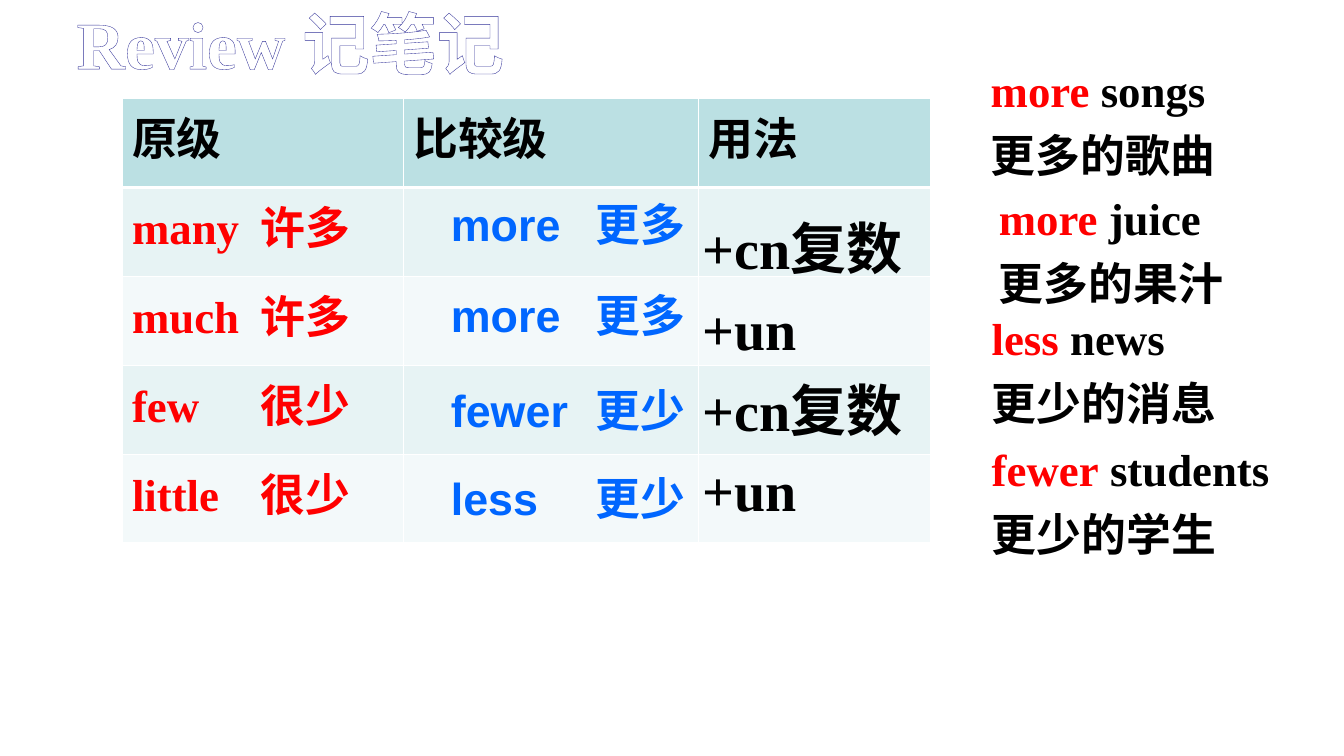
from dataclasses import dataclass

from lxml.etree import SubElement
from pptx import Presentation
from pptx.dml.color import RGBColor
from pptx.enum.text import PP_ALIGN
from pptx.oxml.ns import qn
from pptx.util import Inches, Pt


@dataclass(frozen=True)
class Theme:
    serif: str = "Times New Roman"
    sans: str = "Arial"
    body: int = 32
    usage: int = 40
    title: int = 48
    black: str = "000000"
    white: str = "FFFFFF"
    red: str = "FF0000"
    blue: str = "0066FF"
    navy: str = "333399"
    header: str = "BBE0E3"
    bands: tuple = ("E7F3F4", "F3F9FA")


class ReviewSlide:
    """Places elements on a grid of 80 columns by 45 rows."""

    def __init__(self, deck, theme):
        self.theme = theme
        self.slide = deck.slides.add_slide(deck.slide_layouts[6])
        self.col = deck.slide_width / 80
        self.row = deck.slide_height / 45

    def place(self, left, top, width, height):
        return [round(n * unit) for n, unit in
                zip((left, top, width, height), (self.col, self.row) * 2)]

    def style(self, run, color, size, face):
        run.font.name = face
        run.font.size = Pt(size)
        run.font.bold = True
        run.font.color.rgb = RGBColor.from_string(color)

    def tab_stop(self, paragraph, columns):
        tabs = SubElement(paragraph._p.get_or_add_pPr(), qn("a:tabLst"))
        SubElement(tabs, qn("a:tab"), pos=str(round(columns * self.col)), algn="l")

    def text(self, area, lines, size, face, spacing=None, tab=None):
        """Each line is a list of (wording, color) pieces."""
        frame = self.slide.shapes.add_textbox(*self.place(*area)).text_frame
        frame.word_wrap = True
        for i, pieces in enumerate(lines):
            paragraph = frame.add_paragraph() if i else frame.paragraphs[0]
            if spacing:
                paragraph.line_spacing = spacing
            if tab:
                self.tab_stop(paragraph, tab)
            for wording, color in pieces:
                run = paragraph.add_run()
                run.text = wording
                self.style(run, color, size, face)
        return frame

    def title(self, area, wording):
        theme = self.theme
        frame = self.text(area, [[(wording, theme.white)]], theme.title, theme.serif)
        heading = frame.paragraphs[0]
        heading.alignment = PP_ALIGN.CENTER
        properties = heading.runs[0].font._element
        outline = SubElement(properties, qn("a:ln"), w=str(Pt(0.52)))
        fill = SubElement(outline, qn("a:solidFill"))
        SubElement(fill, qn("a:srgbClr"), val=theme.navy)
        properties.insert(0, outline)

    def borders(self, cell, bottom):
        properties = cell._tc.get_or_add_tcPr()
        for side, width in (("L", 1), ("R", 1), ("T", 1), ("B", bottom)):
            line = SubElement(properties, qn(f"a:ln{side}"), w=str(Pt(width)))
            fill = SubElement(line, qn("a:solidFill"))
            SubElement(fill, qn("a:srgbClr"), val=self.theme.white)

    def table(self, left, top, widths, row_height, rows, tab):
        theme = self.theme
        area = self.place(left, top, sum(widths), row_height * len(rows))
        grid = self.slide.shapes.add_table(len(rows), len(widths), *area).table
        for column, width in zip(grid.columns, widths):
            column.width = round(width * self.col)
        for r, wordings in enumerate(rows):
            grid.rows[r].height = round(row_height * self.row)
            for c, wording in enumerate(wordings):
                cell = grid.cell(r, c)
                self.borders(cell, 1 if r else 3)
                cell.fill.solid()
                shade = theme.bands[(r - 1) % 2] if r else theme.header
                cell.fill.fore_color.rgb = RGBColor.from_string(shade)
                if wording:
                    paragraph = cell.text_frame.paragraphs[0]
                    paragraph.text = wording
                    self.tab_stop(paragraph, tab)
                    self.style(paragraph.runs[0], theme.red if r else theme.black,
                               theme.body, theme.serif)


def main():
    deck = Presentation()
    deck.slide_width, deck.slide_height = Inches(13.33), Inches(7.5)
    theme = Theme()
    review = ReviewSlide(deck, theme)

    # Base forms
    review.table(7.26, 5.88, (16.74, 17.58, 13.8), 5.29, [
        ("原级", "比较级", "用法"),
        ("many\t许多", "", ""),
        ("much\t许多", "", ""),
        ("few\t很少", "", ""),
        ("little\t很少", "", ""),
    ], tab=7.65)

    # Comparatives over the middle column
    comparatives = [(11.4, "more\t更多"), (16.8, "more\t更多"),
                    (22.5, "fewer\t更少"), (27.72, "less\t更少")]
    for top, wording in comparatives:
        review.text((26.25, top, 17.5, 4.4), [[(wording, theme.blue)]],
                    theme.body, theme.sans, tab=8.6)

    # Usage over the last column
    usage = ["+cn复数", "+un"] * 2
    review.text((41.22, 11.64, 16.44, 20.58), [[(rule, theme.black)] for rule in usage],
                theme.usage, theme.serif, spacing=1.2)

    # Example phrases on the right
    examples = [
        (58.38, 2.82, "more", " songs", "更多的歌曲"),
        (58.86, 10.44, "more", " juice", "更多的果汁"),
        (58.44, 17.58, "less", " news", "更少的消息"),
        (58.44, 25.38, "fewer", " students", "更少的学生"),
    ]
    for left, top, degree, noun, meaning in examples:
        review.text((left, top, 20.8, 8.34),
                    [[(degree, theme.red), (noun, theme.black)], [(meaning, theme.black)]],
                    theme.body, theme.serif, spacing=1.2)

    # Title
    review.title((0, -0.18, 34.56, 5.46), "Review 记笔记")

    deck.save("out.pptx")


if __name__ == "__main__":
    main()
